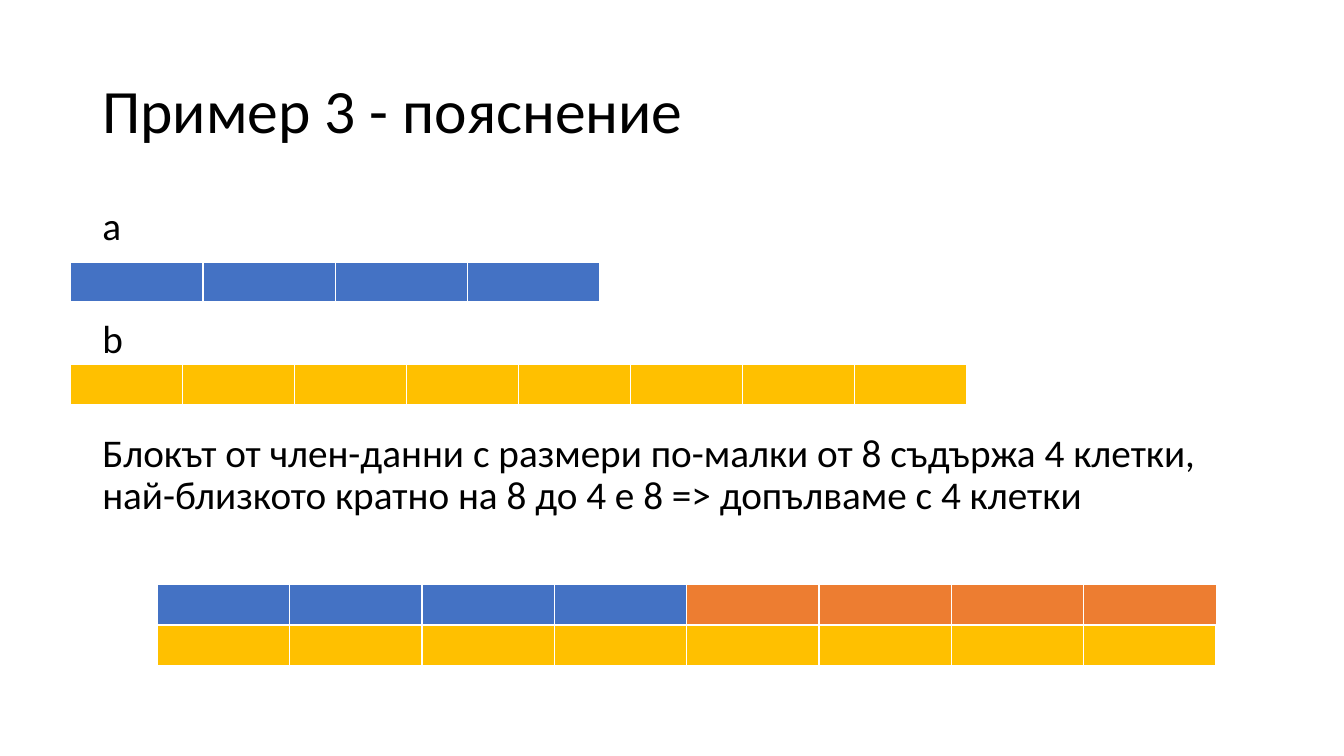
from dataclasses import dataclass

from lxml import etree
from pptx import Presentation
from pptx.dml.color import RGBColor
from pptx.enum import text
from pptx.oxml import ns
from pptx.util import Pt


@dataclass(frozen=True)
class Theme:
    font: str = "Calibri"
    title_size: float = 44
    body_size: float = 28
    ink: str = "000000"
    border: str = "FFFFFF"
    member_a: str = "4472C4"
    member_b: str = "FFC000"
    padding: str = "ED7D31"


THEME = Theme()
TEXT_LEFT, TEXT_WIDTH = 66, 828
MEMBER_LEFT, BLOCK_LEFT, BLOCK_TOP = 50.4, 112.3, 417.6
CELL_WIDTH, NARROW_CELL_WIDTH, CELL_HEIGHT = 94.55, 80, 29.2
BORDER_WIDTHS = {"lnL": 1, "lnR": 1, "lnT": 1, "lnB": 3}


def add_text_frame(slide, top, height, anchor):
    box = slide.shapes.add_textbox(Pt(TEXT_LEFT), Pt(top), Pt(TEXT_WIDTH), Pt(height))
    frame = box.text_frame
    frame.word_wrap = True
    frame.vertical_anchor = anchor
    return frame


def write(paragraph, words, *, size, space_before=0):
    paragraph.line_spacing = 0.9
    paragraph.space_before = Pt(space_before)
    run = paragraph.add_run()
    run.text = words
    run.font.name = THEME.font
    run.font.size = Pt(size)
    run.font.color.rgb = RGBColor.from_string(THEME.ink)


def set_borders(cell):
    properties = cell._tc.get_or_add_tcPr()
    for position, (side, width) in enumerate(BORDER_WIDTHS.items()):
        line = etree.Element(ns.qn(f"a:{side}"), w=str(Pt(width)))
        fill = etree.SubElement(line, ns.qn("a:solidFill"))
        etree.SubElement(fill, ns.qn("a:srgbClr"), val=THEME.border)
        properties.insert(position, line)


def add_memory_row(slide, left, top, count, color, cell_width=CELL_WIDTH):
    """Draw a one-row table with one cell for each byte."""
    table = slide.shapes.add_table(
        1, count, Pt(left), Pt(top), Pt(count * cell_width), Pt(CELL_HEIGHT)
    ).table
    table.first_row = False
    table.horz_banding = False
    for column in table.columns:
        column.width = Pt(cell_width)
    for cell in table.iter_cells():
        cell.fill.solid()
        cell.fill.fore_color.rgb = RGBColor.from_string(color)
        set_borders(cell)


def main():
    presentation = Presentation()
    presentation.slide_width, presentation.slide_height = Pt(960), Pt(540)
    slide = presentation.slides.add_slide(presentation.slide_layouts[6])

    title = add_text_frame(slide, 28.8, 104.4, text.MSO_ANCHOR.MIDDLE)
    write(title.paragraphs[0], "Пример 3 - пояснение", size=THEME.title_size)

    body = add_text_frame(slide, 144, 342.7, text.MSO_ANCHOR.TOP)
    explanation = (
        "Блокът от член-данни с размери по-малки от 8 съдържа 4 клетки, "
        "най-близкото кратно на 8 до 4 е 8 => допълваме с 4 клетки"
    )
    write(body.paragraphs[0], "а", size=THEME.body_size, space_before=10)
    for words in ("b", explanation):
        write(body.add_paragraph(), words, size=THEME.body_size, space_before=50.8)

    add_memory_row(slide, MEMBER_LEFT, 187.2, 4, THEME.member_a)
    add_memory_row(slide, MEMBER_LEFT, 260.6, 8, THEME.member_b, NARROW_CELL_WIDTH)
    add_memory_row(slide, BLOCK_LEFT, BLOCK_TOP, 4, THEME.member_a)
    add_memory_row(slide, BLOCK_LEFT + 4 * CELL_WIDTH, BLOCK_TOP, 4, THEME.padding)
    add_memory_row(slide, BLOCK_LEFT, BLOCK_TOP + CELL_HEIGHT, 8, THEME.member_b)

    presentation.save("out.pptx")


if __name__ == "__main__":
    main()
